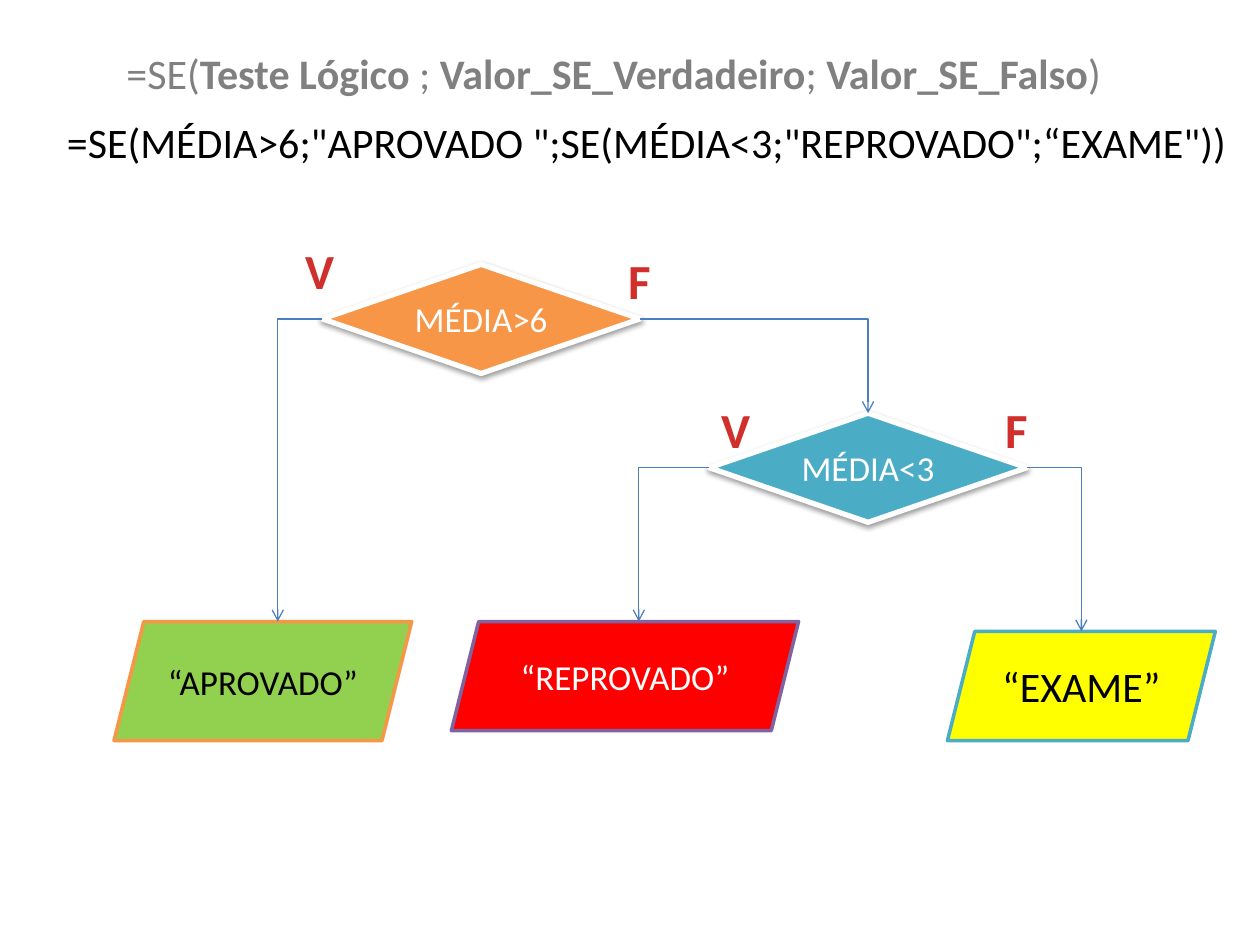
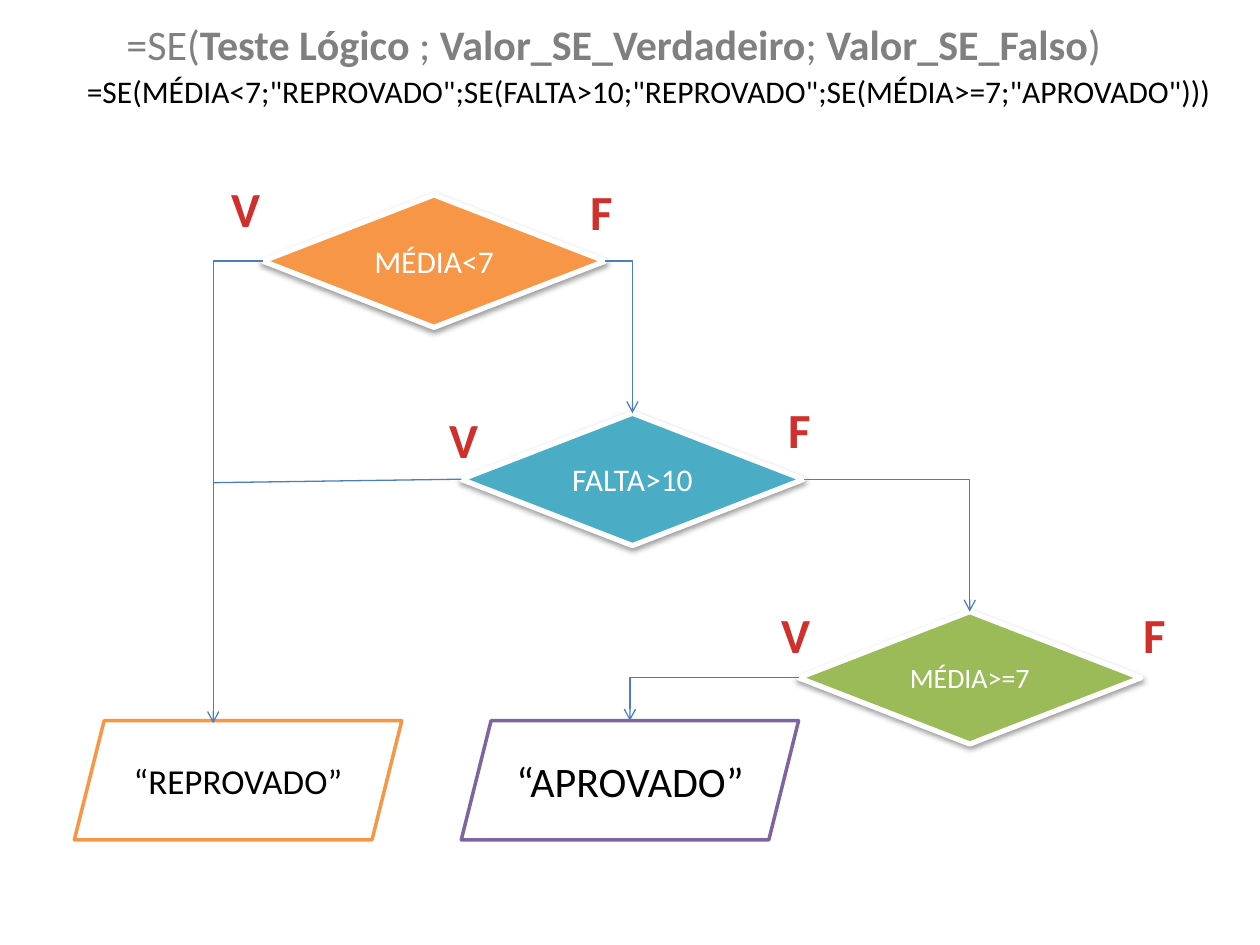
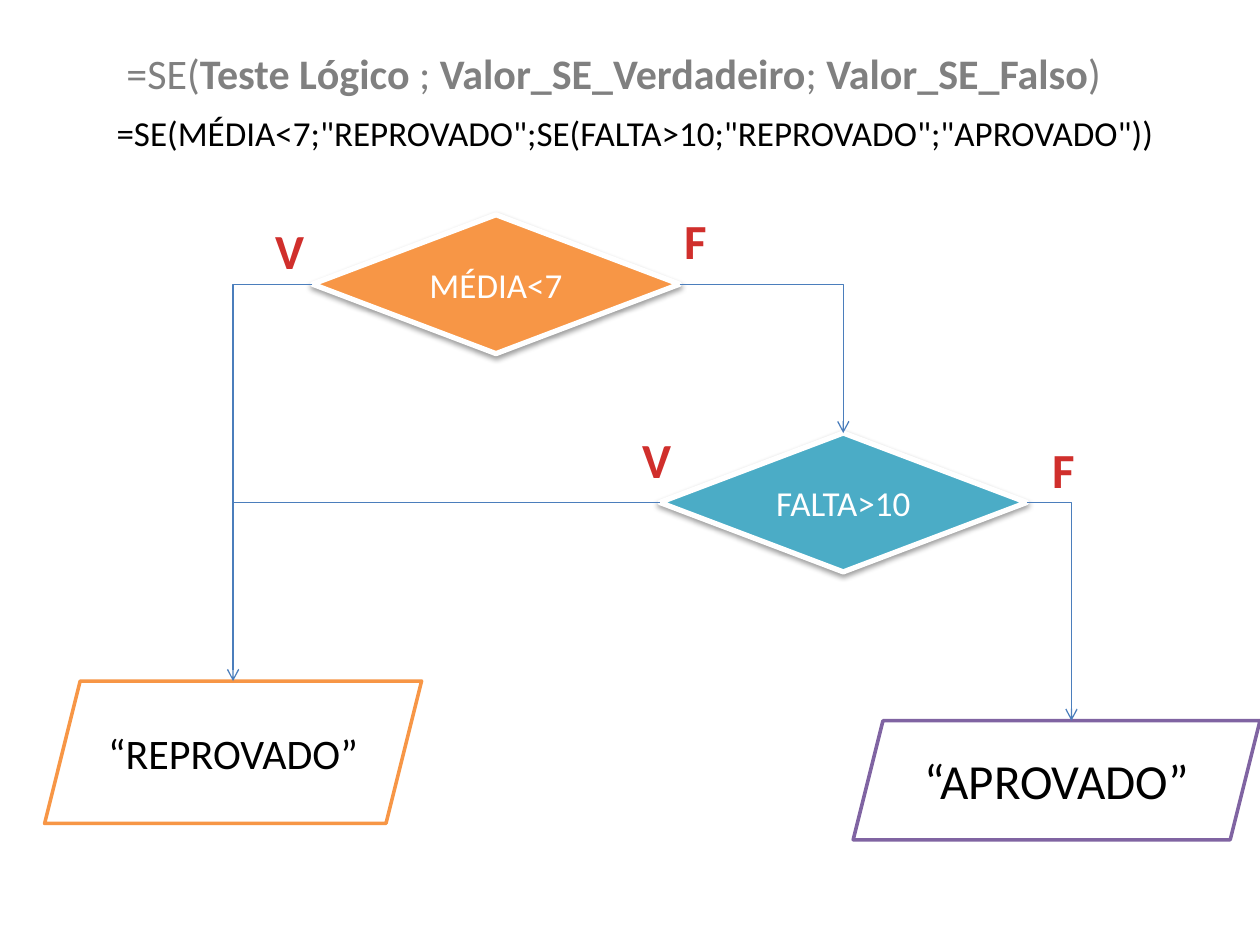
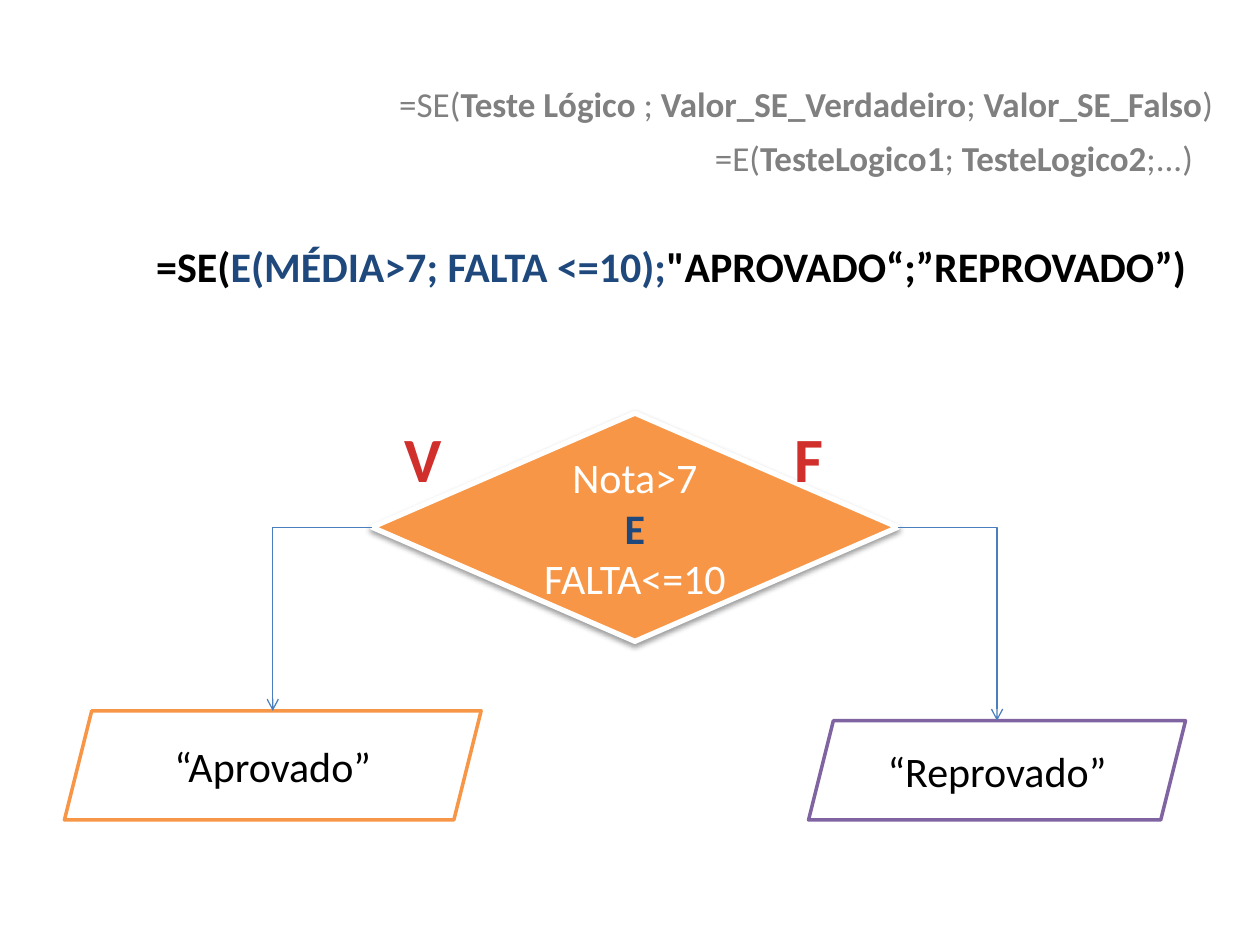
"""Builds four slides that explain nested SE formulas with decision flowcharts."""
from dataclasses import dataclass

from lxml import etree
from pptx import Presentation
from pptx.dml.color import RGBColor
from pptx.enum.shapes import MSO_CONNECTOR, MSO_SHAPE
from pptx.enum.text import MSO_ANCHOR, MSO_AUTO_SIZE, PP_ALIGN
from pptx.oxml import parse_xml
from pptx.oxml.ns import nsdecls, qn
from pptx.util import Cm, Pt

DECISION, TERMINAL = MSO_SHAPE.FLOWCHART_DECISION, MSO_SHAPE.PARALLELOGRAM
ELBOW, STRAIGHT = MSO_CONNECTOR.ELBOW, MSO_CONNECTOR.STRAIGHT
LEFT, CENTER, RIGHT = PP_ALIGN.LEFT, PP_ALIGN.CENTER, PP_ALIGN.RIGHT
MIDDLE, FIT = MSO_ANCHOR.MIDDLE, MSO_AUTO_SIZE.SHAPE_TO_FIT_TEXT


@dataclass(frozen=True)
class Theme:
    font: str = "Calibri"
    white: str = "FFFFFF"
    black: str = "000000"
    gray: str = "808080"
    navy: str = "1F497D"
    orange: str = "F79646"
    teal: str = "4BACC6"
    olive: str = "9BBB59"
    purple: str = "8064A2"
    green: str = "92D050"
    red: str = "FF0000"
    yellow: str = "FFFF00"
    link: str = "4B7EBC"
    branch: tuple = ((0, "FC7C7A"), (75, "D02F2C"), (100, "C70500"))
    small: int = 16
    body: int = 18
    medium: int = 20
    large: int = 24
    label: int = 28
    huge: int = 36


T = Theme()
SHADOW = (f'<a:outerShdw {nsdecls("a")} blurRad="40000" dist="20000" dir="5400000" rotWithShape="0">'
          '<a:srgbClr val="000000"><a:alpha val="38000"/></a:srgbClr></a:outerShdw>')
STOPS = "".join(f'<a:gs pos="{pos * 1000}"><a:srgbClr val="{color}"/></a:gs>' for pos, color in T.branch)
BRANCH_FILL = f'<a:gradFill {nsdecls("a")}><a:gsLst>{STOPS}</a:gsLst><a:lin ang="5400000" scaled="0"/></a:gradFill>'


def write(sp, lines, size, align):
    """Fill a shape with lines of (text, bold, color) runs."""
    tf = sp.text_frame
    tf.word_wrap = True
    for i, runs in enumerate(lines):
        p = tf.add_paragraph() if i else tf.paragraphs[0]
        p.alignment = align
        for text, bold, color in runs:
            r = p.add_run()
            r.text = text
            r.font.name, r.font.size, r.font.bold = T.font, Pt(size), bold
            r.font.color.rgb = RGBColor.from_string(color)


def add_node(s, kind, box, fill, line, width, lines, size):
    """Add a filled flowchart shape with centred text."""
    sp = s.shapes.add_shape(kind, *map(Cm, box))
    sp.shadow.inherit = False
    sp.fill.solid()
    sp.fill.fore_color.rgb = RGBColor.from_string(fill)
    sp.line.color.rgb = RGBColor.from_string(line)
    sp.line.width = Pt(width)
    tf = sp.text_frame
    tf.margin_left = tf.margin_right = 0
    tf.vertical_anchor = MIDDLE
    write(sp, lines, size, CENTER)
    return sp


SYNTAX = [("=SE(", False, T.gray), ("Teste Lógico ", True, T.gray), ("; ", False, T.gray),
          ("Valor_SE_Verdadeiro", True, T.gray), ("; ", False, T.gray),
          ("Valor_SE_Falso", True, T.gray), (")", False, T.gray)]
SYNTAX_E = [("=E(", False, T.gray), ("TesteLogico1", True, T.gray), ("; ", False, T.gray),
            ("TesteLogico2", True, T.gray), (";...)", False, T.gray)]

SLIDES = [
    {
        "formulas": [
            ((1.1, 2.23, 25.4, 1.28), T.large, LEFT,
             [('=SE(MÉDIA>6;"APROVADO ";SE(MÉDIA<3;"REPROVADO";“EXAME"))', False, T.black)]),
            ((2.3, 0.83, 20.8, 1.28), T.large, LEFT, SYNTAX),
        ],
        "decision_size": (6.4, 2.2),
        "decisions": [
            (6.5, 5.33, T.orange, T.medium, [[("MÉDIA>6", False, T.white)]]),
            (14.3, 8.33, T.teal, T.medium, [[("MÉDIA<3", False, T.white)]]),
        ],
        "label_style": (T.label, 1.45, {"V": 0.8, "F": 1.2}),
        "labels": [("V", 5.9, 4.72), ("F", 12.3, 4.93), ("V", 14.3, 7.93), ("F", 19.9, 7.93)],
        "terminals": [
            ((2.3, 12.53, 6, 2.4), T.green, T.orange, T.medium, "“APROVADO”", T.black),
            ((9.1, 12.53, 7, 2.2), T.red, T.purple, T.medium, "“REPROVADO”", T.white),
            ((19.1, 12.73, 5.4, 2.2), T.yellow, T.teal, T.large, "“EXAME”", T.black),
        ],
        "arrows": [(6.5, 6.43, 5.6, 12.53), (12.9, 6.43, 17.5, 8.33),
                   (20.7, 9.43, 21.8, 12.73), (14.3, 9.43, 12.88, 12.53)],
        "joins": [],
    },
    {
        "formulas": [
            ((1.5, 1.33, 23.9, 1.03), T.body, LEFT,
             [('=SE(MÉDIA<7;"REPROVADO";SE(FALTA>10;"REPROVADO";SE(MÉDIA>=7;"APROVADO")))', False, T.black)]),
            ((2.3, 0.25, 20.8, 1.28), T.large, LEFT, SYNTAX),
        ],
        "decision_size": (6.9, 2.67),
        "decisions": [
            (5.3, 3.93, T.orange, T.body, [[("MÉDIA<7", False, T.white)]]),
            (9.3, 8.33, T.teal, T.body, [[("FALTA>10", False, T.white)]]),
            (16.1, 12.33, T.olive, T.small, [[("MÉDIA>=7", False, T.white)]]),
        ],
        "label_style": (T.label, 1.45, {"V": 1.1, "F": 1.65}),
        "labels": [("V", 4.4, 3.48), ("F", 11.3, 3.53), ("V", 8.8, 8.13), ("F", 15.3, 7.93),
                   ("V", 15.5, 12.07), ("F", 22.45, 12.07)],
        "terminals": [
            ((1.5, 14.53, 6.6, 2.4), T.white, T.orange, T.medium, "“REPROVADO”", T.black),
            ((9.3, 14.53, 6.8, 2.4), T.white, T.purple, T.large, "“APROVADO”", T.black),
        ],
        "arrows": [(5.3, 5.26, 4.3, 14.58), (16.1, 13.66, 12.7, 14.53),
                   (12.2, 5.26, 12.75, 8.33), (16.2, 9.66, 19.55, 12.33)],
        "joins": [(4.3, 9.73, 9.3, 9.66)],
    },
    {
        "formulas": [
            ((2.1, 2.13, 22.6, 1.12), T.medium, LEFT,
             [('=SE(MÉDIA<7;"REPROVADO";SE(FALTA>10;"REPROVADO";"APROVADO"))', False, T.black)]),
            ((2.3, 0.83, 20.8, 1.28), T.large, LEFT, SYNTAX),
        ],
        "decision_size": (7.4, 2.8),
        "decisions": [
            (6.3, 4.33, T.orange, T.medium, [[("MÉDIA<7", False, T.white)]]),
            (13.3, 8.73, T.teal, T.medium, [[("FALTA>10", False, T.white)]]),
        ],
        "label_style": (T.label, 1.45, {"V": 0.97, "F": 1.47}),
        "labels": [("V", 5.3, 4.33), ("F", 13.3, 4.12), ("V", 12.7, 8.53), ("F", 20.7, 8.73)],
        "terminals": [
            ((0.9, 13.73, 7.6, 2.87), T.white, T.orange, T.large, "“REPROVADO”", T.black),
            ((17.2, 14.53, 8.2, 2.4), T.white, T.purple, T.label, "“APROVADO”", T.black),
        ],
        "arrows": [(6.3, 5.73, 4.7, 13.73), (13.7, 5.73, 17, 8.73), (20.7, 10.13, 21.6, 14.53)],
        "joins": [(4.7, 10.13, 13.3, 10.13)],
    },
    {
        "formulas": [
            ((2.9, 4.73, 22, 1.28), T.large, LEFT,
             [("=SE(", True, T.black), ("E(MÉDIA>7; FALTA <=10);", True, T.navy),
              ('"APROVADO“;”REPROVADO”)', True, T.black)]),
            ((5.9, 1.53, 18.8, 1.12), T.medium, RIGHT, SYNTAX),
            ((12.3, 2.63, 12, 1.12), T.medium, RIGHT, SYNTAX_E),
        ],
        "decision_size": (10.6, 4.6),
        "decisions": [
            (7.5, 8.33, T.orange, T.large,
             [[("Nota>7", False, T.white)], [("E", True, T.navy)], [("FALTA<=10", False, T.white)]]),
        ],
        "label_style": (T.huge, 1.8, {"V": 0.8, "F": 1.2}),
        "labels": [("V", 7.9, 8.33), ("F", 15.7, 8.33)],
        "terminals": [
            ((1.3, 14.33, 8.4, 2.2), T.white, T.orange, T.large, "“Aprovado”", T.black),
            ((16.3, 14.53, 7.6, 2), T.white, T.purple, T.large, "“Reprovado”", T.black),
        ],
        "arrows": [(7.5, 10.63, 5.5, 14.33), (18.1, 10.63, 20.1, 14.53)],
        "joins": [],
    },
]

prs = Presentation()
prs.slide_width, prs.slide_height = Cm(25.4), Cm(19.05)

for data in SLIDES:
    s = prs.slides.add_slide(prs.slide_layouts[6])

    for x, y, fill, size, lines in data["decisions"]:
        sp = add_node(s, DECISION, (x, y, *data["decision_size"]), fill, T.white, 3, lines, size)
        sp._element.spPr.find(qn("a:effectLst")).append(parse_xml(SHADOW))

    for box, fill, line, size, text, color in data["terminals"]:
        add_node(s, TERMINAL, box, fill, line, 2, [[(text, False, color)]], size)

    size, height, widths = data["label_style"]
    for letter, x, y in data["labels"]:
        sp = s.shapes.add_textbox(Cm(x), Cm(y), Cm(widths[letter]), Cm(height))
        write(sp, [[(letter, True, T.red)]], size, CENTER)
        sp.text_frame.auto_size = FIT
        rPr = sp.text_frame.paragraphs[0].runs[0].font._element
        rPr.replace(rPr.find(qn("a:solidFill")), parse_xml(BRANCH_FILL))

    links = [(ELBOW, ends) for ends in data["arrows"]] + [(STRAIGHT, ends) for ends in data["joins"]]
    for kind, ends in links:
        c = s.shapes.add_connector(kind, *map(Cm, ends))
        c.line.color.rgb = RGBColor.from_string(T.link)
        c.line.width = Pt(0.75)
        spPr = c._element.spPr
        if kind == ELBOW:
            spPr.find(qn("a:prstGeom")).set("prst", "bentConnector2")
            etree.SubElement(spPr.find(qn("a:ln")), qn("a:tailEnd"), type="arrow")
        etree.SubElement(spPr, qn("a:effectLst"))

    for box, size, align, runs in data["formulas"]:
        sp = s.shapes.add_textbox(*map(Cm, box))
        write(sp, [runs], size, align)
        sp.text_frame.auto_size = FIT

prs.save("out.pptx")
